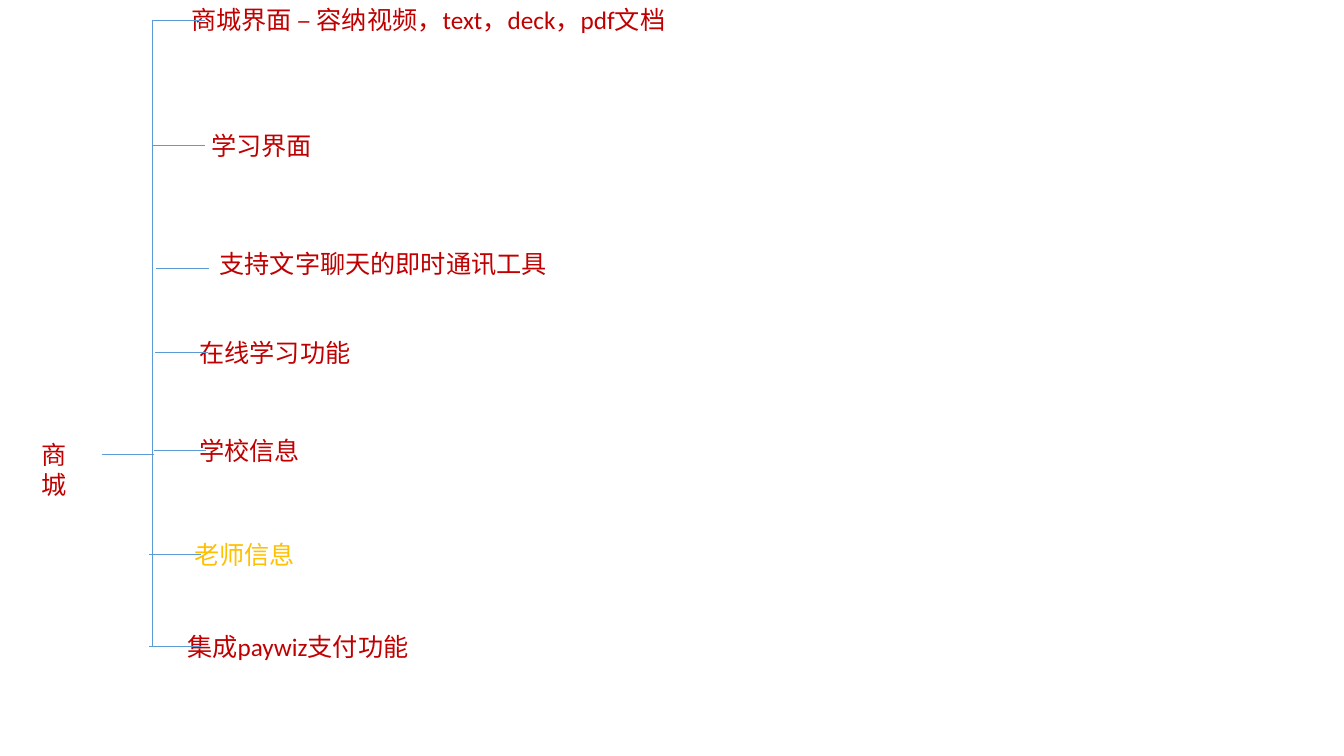
from dataclasses import dataclass

from lxml import etree
from pptx import Presentation
from pptx.dml.color import RGBColor
from pptx.enum import shapes, text
from pptx.oxml import ns
from pptx.util import Inches, Pt

HUES = {"red": "C00000", "gold": "FFC000", "blue": "5B9BD5"}
TALL = 0.4
STUB = 0.52
TRUNK = 1.51


@dataclass
class Node:
    """A label with the start of the short line that leads to it."""
    words: str
    left: float
    top: float
    wide: float
    start: float
    level: float
    hue: str = "red"
    wrap: bool = False


ROOT = Node("商城", 0.31, 4.31, 0.7, 1.01, 4.51)
NODES = [
    Node("商城界面 – 容纳视频，text，deck，pdf文档", 1.8, -0.01, 5.29, TRUNK, 0.2, wrap=True),
    Node("学习界面", 2, 1.24, 1.2, TRUNK, 1.44),
    Node("支持文字聊天的即时通讯工具", 2.08, 2.41, 3.45, 1.55, 2.66),
    Node("在线学习功能", 1.88, 3.3, 1.7, 1.54, 3.5),
    Node("学校信息", 1.88, 4.27, 1.2, 1.53, 4.47),
    Node("老师信息", 1.83, 5.3, 1.2, 1.48, 5.5, hue="gold"),
    Node("集成paywiz支付功能", 1.76, 6.21, 2.49, 1.48, 6.41),
]


def fill(box, node: Node) -> None:
    """Place a text shape and write its label."""
    box.left, box.top = Inches(node.left), Inches(node.top)
    box.width, box.height = Inches(node.wide), Inches(TALL)
    frame = box.text_frame
    frame.text = node.words
    frame.word_wrap = node.wrap
    frame.auto_size = text.MSO_AUTO_SIZE.SHAPE_TO_FIT_TEXT
    frame.vertical_anchor = text.MSO_ANCHOR.TOP
    para = frame.paragraphs[0]
    para.alignment = text.PP_ALIGN.LEFT
    para.font.name = "Calibri"
    para.font.size = Pt(18)
    para.font.color.rgb = RGBColor.from_string(HUES[node.hue])


def rule(slide, x1: float, y1: float, x2: float, y2: float):
    """Draw one thin blue line."""
    ends = [Inches(v) for v in (x1, y1, x2, y2)]
    line = slide.shapes.add_connector(shapes.MSO_CONNECTOR.STRAIGHT, *ends)
    line.line.color.rgb = RGBColor.from_string(HUES["blue"])
    line.line.width = Pt(0.5)
    etree.SubElement(line._element.spPr, ns.qn("a:effectLst"))
    return line


def stub(slide, node: Node):
    """Draw the short line beside a label."""
    return rule(slide, node.start, node.level, node.start + STUB, node.level)


def main() -> None:
    """Build the mall feature tree."""
    deck = Presentation()
    deck.slide_width, deck.slide_height = Inches(13.34), Inches(7.5)
    slide = deck.slides.add_slide(deck.slide_layouts.get_by_name("Title Only"))
    root = slide.shapes.title
    fill(root, ROOT)
    stub(slide, ROOT).begin_connect(root, 3)
    rule(slide, TRUNK, NODES[0].level, TRUNK, NODES[-1].level)
    for node in NODES:
        box = slide.shapes.add_textbox(0, 0, 0, 0)
        fill(box, node)
        stub(slide, node)
    deck.save("out.pptx")


if __name__ == "__main__":
    main()
